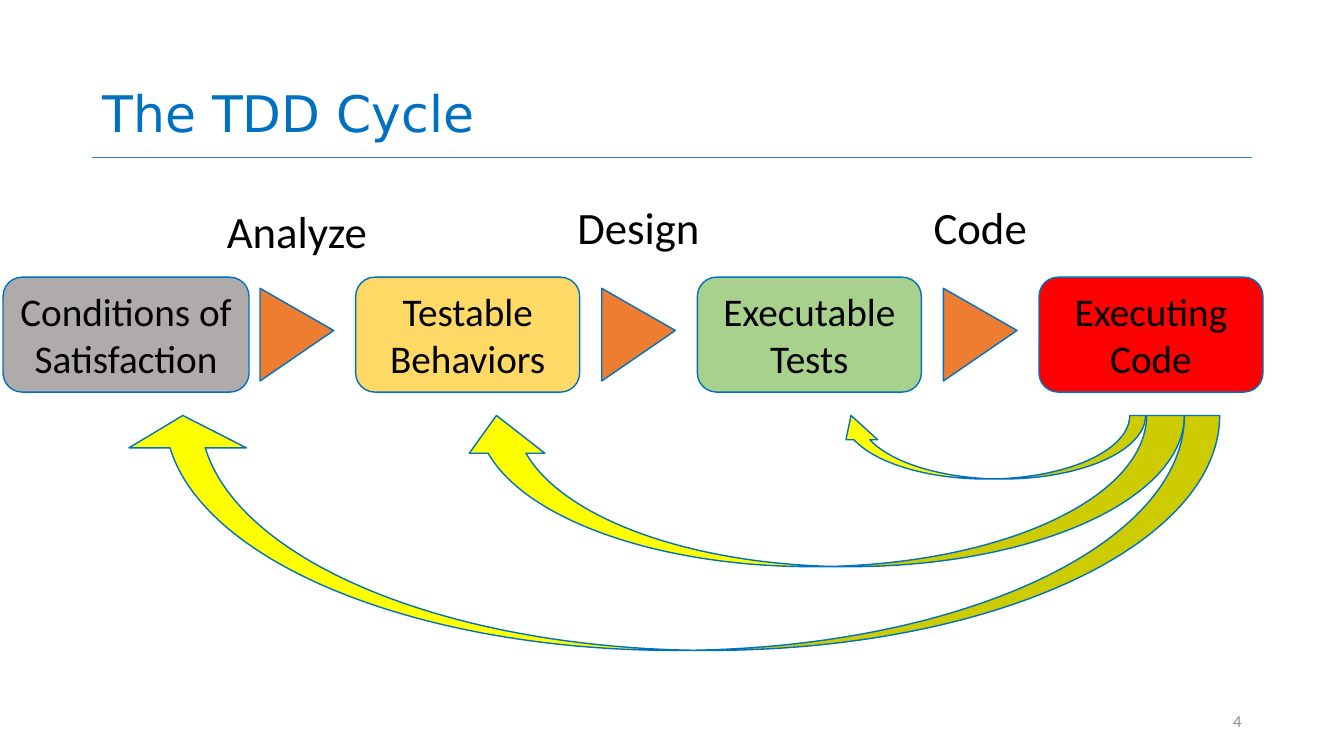
from dataclasses import dataclass

from lxml import etree
from pptx import Presentation
from pptx.dml.color import RGBColor
from pptx.enum.shapes import MSO_CONNECTOR, MSO_SHAPE
from pptx.enum.text import MSO_ANCHOR, MSO_AUTO_SIZE, PP_ALIGN
from pptx.oxml.ns import qn
from pptx.util import Pt

ROUNDED = MSO_SHAPE.ROUNDED_RECTANGLE
TRIANGLE = MSO_SHAPE.ISOSCELES_TRIANGLE
CURVED = MSO_SHAPE.CURVED_LEFT_ARROW
STRAIGHT = MSO_CONNECTOR.STRAIGHT
LEFT, CENTER, RIGHT = PP_ALIGN.LEFT, PP_ALIGN.CENTER, PP_ALIGN.RIGHT
MIDDLE, BOTTOM = MSO_ANCHOR.MIDDLE, MSO_ANCHOR.BOTTOM
NO_AUTOSIZE = MSO_AUTO_SIZE.NONE


@dataclass(frozen=True)
class Theme:
    title_font: str = "DejaVu Sans"
    body_font: str = "Calibri"
    title_size: int = 36
    label_size: int = 32
    box_size: int = 28
    number_size: int = 12
    blue: str = "0070C0"
    rule: str = "4472C4"
    text: str = "000000"
    muted: str = "8C8C8C"
    step: str = "ED7D31"
    feedback: str = "FFFF00"


THEME = Theme()

# Artifacts (text, fill, width) and the activities between them (text, drop)
ARTIFACTS = [
    ("Conditions of Satisfaction", "AFABAB", 175.7),
    ("Testable Behaviors", "FFD966", 160),
    ("Executable Tests", "A9D18E", 160),
    ("Executing Code", "FF0000", 160),
]
ACTIVITIES = [("Analyze", 3), ("Design", 0), ("Code", 0)]
# Feedback arrows: left, width, height, adjustments
FEEDBACK = [
    (596.5, 221.8, 45.4, (0.25, 0.5, 0.382)),
    (327.6, 518.4, 108, (0.25, 0.5, 0.25)),
    (88.6, 782.6, 167.8, (0.15, 0.5, 0.138)),
]


def rgb(color):
    return RGBColor.from_string(color)


def set_text(sp, text, size, color, align, anchor=MIDDLE, font=THEME.body_font):
    tf = sp.text_frame
    tf.text = text
    tf.word_wrap = True
    tf.auto_size = NO_AUTOSIZE
    tf.vertical_anchor = anchor
    p = tf.paragraphs[0]
    p.alignment = align
    r = p.runs[0]
    r.font.name, r.font.size = font, Pt(size)
    r.font.color.rgb = rgb(color)
    return p


def add_label(slide, box, text, size, color, align):
    sp = slide.shapes.add_textbox(*map(Pt, box))
    set_text(sp, text, size, color, align)


def add_shape(slide, kind, box, fill):
    sp = slide.shapes.add_shape(kind, *map(Pt, box))
    sp.shadow.inherit = False
    sp.fill.solid()
    sp.fill.fore_color.rgb = rgb(fill)
    sp.line.color.rgb = rgb(THEME.blue)
    sp.line.width = Pt(1)
    return sp


def add_turned(slide, kind, box, fill, adjustments):
    """Add a shape turned a quarter clockwise that fills the given box."""
    x, y, w, h = box
    sp = add_shape(slide, kind, (x + (w - h) / 2, y + (h - w) / 2, h, w), fill)
    sp.rotation = 90
    for i, value in enumerate(adjustments):
        sp.adjustments[i] = value


def add_header(slide, box):
    x, y, w, h = box
    # Rule below the title
    rule_y = y + h + 6.5
    line = slide.shapes.add_connector(STRAIGHT, Pt(x), Pt(rule_y), Pt(x + w), Pt(rule_y))
    line.line.color.rgb = rgb(THEME.rule)
    line.line.width = Pt(0.5)
    etree.SubElement(line._element.spPr, qn("a:effectLst"))
    # Title
    title = slide.shapes.title
    title.left, title.top, title.width, title.height = map(Pt, box)
    p = set_text(title, "The TDD Cycle", THEME.title_size, THEME.blue, LEFT,
                 BOTTOM, THEME.title_font)
    p.line_spacing = 0.9


def add_process(slide, box):
    x, y, w, h = box
    first_w, last_w = ARTIFACTS[0][2], ARTIFACTS[-1][2]
    first_center = x + first_w / 2
    pitch = (w - (first_w + last_w) / 2) / (len(ARTIFACTS) - 1)
    # Artifact boxes
    for i, (text, fill, box_w) in enumerate(ARTIFACTS):
        left = first_center + i * pitch - box_w / 2
        sp = add_shape(slide, ROUNDED, (left, y, box_w, h), fill)
        tf = sp.text_frame
        tf.margin_left = tf.margin_right = Pt(4)
        set_text(sp, text, THEME.box_size, THEME.text, CENTER)
    # Step triangles and activity labels, halfway between the boxes
    tri_w, tri_h, label_w, label_h = 52.6, 66.2, 172.8, 43.2
    for i, (text, drop) in enumerate(ACTIVITIES):
        mid = first_center + (i + 0.5) * pitch
        tri = (mid - tri_w / 2, y + (h - tri_h) / 2, tri_w, tri_h)
        add_turned(slide, TRIANGLE, tri, THEME.step, [0.455])
        label = (mid - label_w / 2, y - 57.6 + drop, label_w, label_h)
        add_label(slide, label, text, THEME.label_size, THEME.text, CENTER)


def add_feedback(slide, top):
    for left, w, h, adjustments in FEEDBACK:
        add_turned(slide, CURVED, (left, top, w, h), THEME.feedback, adjustments)


def main():
    prs = Presentation()
    prs.slide_width, prs.slide_height = Pt(960), Pt(540)
    slide = prs.slides.add_slide(prs.slide_layouts[5])
    add_header(slide, (66, 1.5, 828, 104.4))
    add_process(slide, (2.2, 198, 900, 82.1))
    add_feedback(slide, 296.8)
    # Slide number
    add_label(slide, (678, 500.5, 216, 28.8), "4", THEME.number_size, THEME.muted, RIGHT)
    prs.save("out.pptx")


if __name__ == "__main__":
    main()
